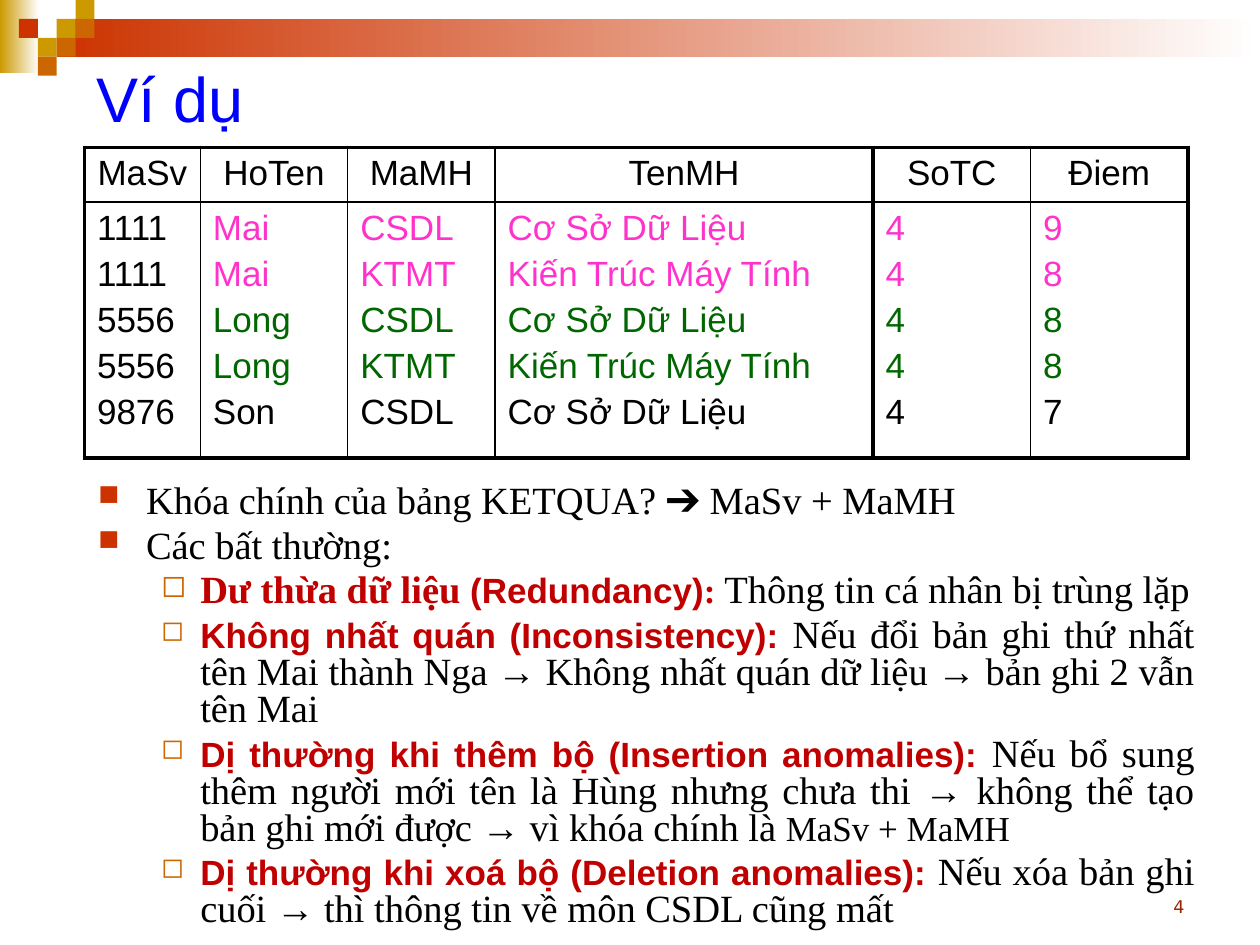
from lxml.etree import SubElement
from pptx import Presentation
from pptx.dml.color import RGBColor
from pptx.enum.shapes import MSO_SHAPE as Preset
from pptx.enum.text import MSO_ANCHOR as Anchor, PP_ALIGN as Align
from pptx.oxml import parse_xml
from pptx.oxml.ns import nsdecls, qn
from pptx.util import Inches, Pt

COLORS = {
    "black": "000000", "white": "FFFFFF", "blue": "0000FF", "gold": "CC9900",
    "orange": "CC6600", "red": "CC3300", "pink": "FF33CC", "green": "006600",
    "crimson": "C00000", "brown": "972600",
}
SANS, SERIF = "Arial", "Times New Roman"

# Content
TITLE = "Ví dụ"
PAGE_NUMBER = "4"
HEADERS = ["MaSv", "HoTen", "MaMH", "TenMH", "SoTC", "Điem"]
RECORDS = [
    ("1111", "Mai", "CSDL", "Cơ Sở Dữ Liệu", "4", "9"),
    ("1111", "Mai", "KTMT", "Kiến Trúc Máy Tính", "4", "8"),
    ("5556", "Long", "CSDL", "Cơ Sở Dữ Liệu", "4", "8"),
    ("5556", "Long", "KTMT", "Kiến Trúc Máy Tính", "4", "8"),
    ("9876", "Son", "CSDL", "Cơ Sở Dữ Liệu", "4", "7"),
]
RECORD_COLORS = ["pink", "pink", "green", "green", "black"]
COLUMN_WIDTHS = [0.92, 1.17, 1.17, 3, 1.25, 1.25]
ROW_HEIGHTS = [0.43, 2.03]
THICK_COLUMN_EDGES = {0, 4, 6}

# Run styles: font, size, color, bold
STYLES = {
    "plain": (SERIF, 22, "black", False),
    "small": (SERIF, 20, "black", False),
    "term": (SANS, 20, "crimson", True),
    "serif term": (SERIF, 22, "crimson", True),
    "colon": (SERIF, 20, "crimson", True),
}
# Bullets: character, color, size in percent, left margin, hanging indent
BULLETS = [("■", "red", 75, 0.38, 0.38), ("◻", "orange", 80, 0.81, 0.31)]
NOTES = [
    (0, [("plain", "Khóa chính của bảng KETQUA? ➔ MaSv + MaMH")]),
    (0, [("plain", "Các bất thường:")]),
    (1, [("serif term", "Dư thừa dữ liệu "), ("term", "(Redundancy)"),
         ("colon", ": "), ("plain", "Thông tin cá nhân bị trùng lặp")]),
    (1, [("term", "Không nhất quán (Inconsistency): "),
         ("plain", "Nếu đổi bản ghi thứ nhất tên Mai thành Nga → Không nhất "
                   "quán dữ liệu → bản ghi 2 vẫn tên Mai")]),
    (1, [("term", "Dị thường khi thêm bộ (Insertion anomalies): "),
         ("plain", "Nếu bổ sung thêm người mới tên là Hùng nhưng chưa thi → "
                   "không thể tạo bản ghi mới được → vì khóa chính là "),
         ("small", "MaSv + MaMH")]),
    (1, [("term", "Dị thường khi xoá bộ (Deletion anomalies): "),
         ("plain", "Nếu xóa bản ghi cuối → thì thông tin về môn CSDL cũng mất")]),
]

# Corner mosaic: column, row, color on a 0.15 inch grid
TILE = 0.15
TILES = [(3, 1, "gold"), (4, 0, "gold"), (4, 1, "orange"), (2, 2, "gold"),
         (1, 1, "red"), (3, 2, "orange"), (2, 3, "orange")]
BANDS = [(0, 0, 0.31, 0.58, "gold"), (0.45, 0.15, 9.55, 0.3, "red")]


def rgb(name):
    return RGBColor.from_string(COLORS[name])


def set_font(font, face, size, color, bold=False):
    font.name, font.size, font.bold = face, Pt(size), bold
    font.color.rgb = rgb(color)


def add_block(page, left, top, width, height):
    block = page.shapes.add_shape(Preset.RECTANGLE, *map(Inches, (left, top, width, height)))
    block.shadow.inherit = False
    block.line.fill.background()
    return block


def add_frame(page, left, top, width, height, anchor):
    box = page.shapes.add_textbox(*map(Inches, (left, top, width, height)))
    frame = box.text_frame
    frame.word_wrap = True
    frame.vertical_anchor = anchor
    return frame


def add_line(page, area, text, align, *font):
    para = add_frame(page, *area, Anchor.BOTTOM).paragraphs[0]
    para.text, para.alignment = text, align
    set_font(para.font, *font)


def next_para(frame, index):
    return frame.paragraphs[0] if index == 0 else frame.add_paragraph()


def space_before(para):
    """Leave 20 percent of the line above the paragraph."""
    gap = SubElement(para._p.get_or_add_pPr(), qn("a:spcBef"))
    SubElement(gap, qn("a:spcPct"), val="20000")


def add_bullet(para, char, color, percent, margin, hang):
    props = para._p.get_or_add_pPr()
    props.set("marL", str(Inches(margin)))
    props.set("indent", str(-Inches(hang)))
    SubElement(SubElement(props, qn("a:buClr")), qn("a:srgbClr"), val=COLORS[color])
    SubElement(props, qn("a:buSzPct"), val=str(percent * 1000))
    SubElement(props, qn("a:buChar"), char=char)


def set_borders(cell, widths):
    props = cell._tc.get_or_add_tcPr()
    for place, (side, width) in enumerate(zip("LRTB", widths)):
        props.insert(place, parse_xml(
            f'<a:ln{side} {nsdecls("a")} w="{Pt(width)}"><a:solidFill>'
            f'<a:srgbClr val="{COLORS["black"]}"/></a:solidFill></a:ln{side}>'))


def fill_cell(cell, lines, align):
    cell.fill.background()
    for index, (text, color) in enumerate(lines):
        para = next_para(cell.text_frame, index)
        para.text, para.alignment = text, align
        space_before(para)
        set_font(para.font, SANS, 20, color)


def add_decoration(page):
    for *area, color in BANDS:
        band = add_block(page, *area)
        band.fill.gradient()
        band.fill.gradient_angle = 0
        for stop, name in zip(band.fill.gradient_stops, (color, "white")):
            stop.color.rgb = rgb(name)
        band.fill.gradient_stops[0].position = 0
        band.fill.gradient_stops[1].position = 1
    for column, row, color in TILES:
        tile = add_block(page, column * TILE, row * TILE, TILE, TILE)
        tile.fill.solid()
        tile.fill.fore_color.rgb = rgb(color)


def add_results(page):
    size = (len(ROW_HEIGHTS), len(HEADERS))
    table = page.shapes.add_table(*size, Inches(0.67), Inches(1.17), Inches(sum(COLUMN_WIDTHS)),
                                  Inches(sum(ROW_HEIGHTS))).table
    table.first_row = table.horz_banding = False
    for row, height in zip(table.rows, ROW_HEIGHTS):
        row.height = Inches(height)
    for column, header in enumerate(HEADERS):
        table.columns[column].width = Inches(COLUMN_WIDTHS[column])
        values = [record[column] for record in RECORDS]
        colors = RECORD_COLORS if column else ["black"] * len(RECORDS)
        head, body = table.cell(0, column), table.cell(1, column)
        fill_cell(head, [(header, "black")], Align.CENTER)
        fill_cell(body, zip(values, colors), Align.LEFT)
        sides = [2.25 if edge in THICK_COLUMN_EDGES else 1 for edge in (column, column + 1)]
        set_borders(head, sides + [2.25, 1])
        set_borders(body, sides + [1, 2.25])


def add_notes_list(page):
    frame = add_frame(page, 0.58, 3.75, 9, 3.5, Anchor.TOP)
    frame.margin_left, frame.margin_top = Inches(0.2), Inches(0.1)
    for index, (level, spans) in enumerate(NOTES):
        para = next_para(frame, index)
        para.level, para.alignment, para.line_spacing = level, Align.JUSTIFY, 0.8
        space_before(para)
        add_bullet(para, *BULLETS[level])
        for style, text in spans:
            span = para.add_run()
            span.text = text
            set_font(span.font, *STYLES[style])


def main():
    deck = Presentation()
    deck.slide_width, deck.slide_height = Inches(10), Inches(7.5)
    page = deck.slides.add_slide(deck.slide_layouts[6])
    add_decoration(page)
    add_line(page, (0.67, 0.42, 9, 0.7), TITLE, Align.LEFT, SANS, 36, "blue")
    add_results(page)
    add_notes_list(page)
    add_line(page, (7.17, 6.83, 2.33, 0.5), PAGE_NUMBER, Align.RIGHT, "DejaVu Sans", 10, "brown")
    deck.save("out.pptx")


if __name__ == "__main__":
    main()
